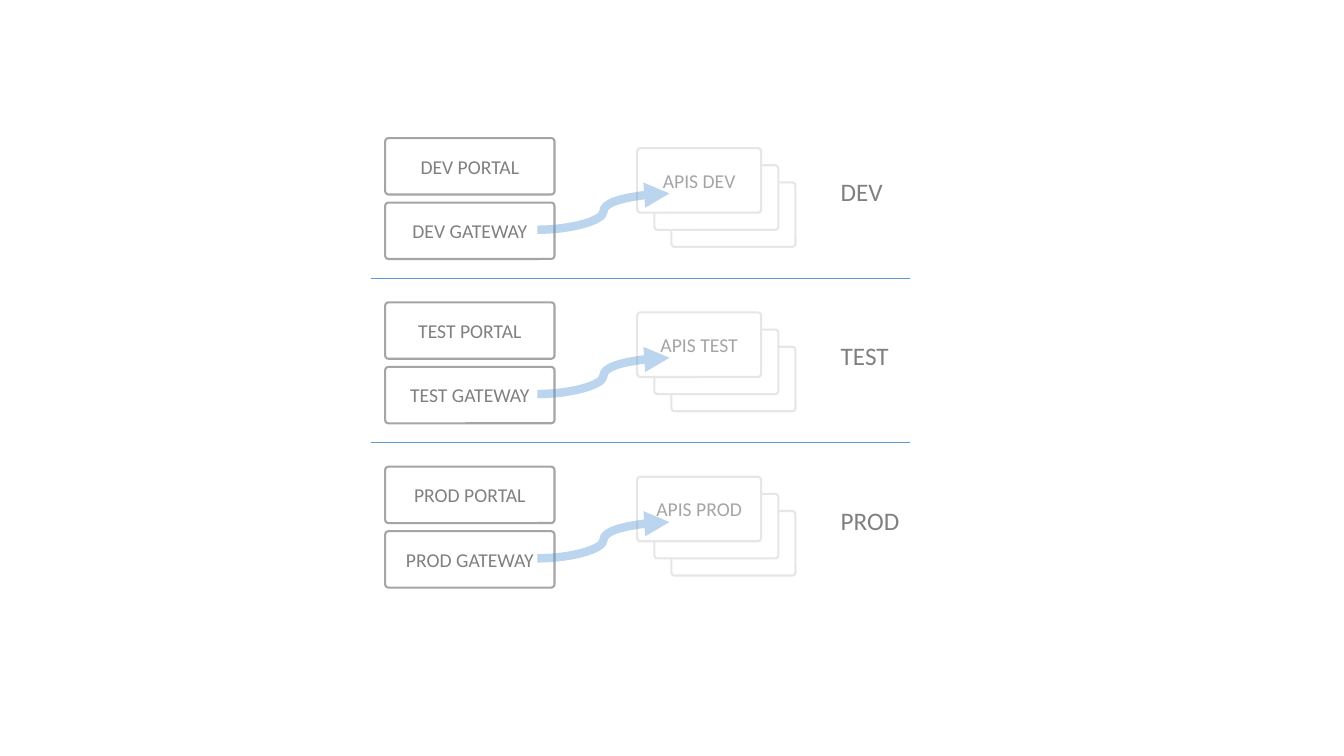
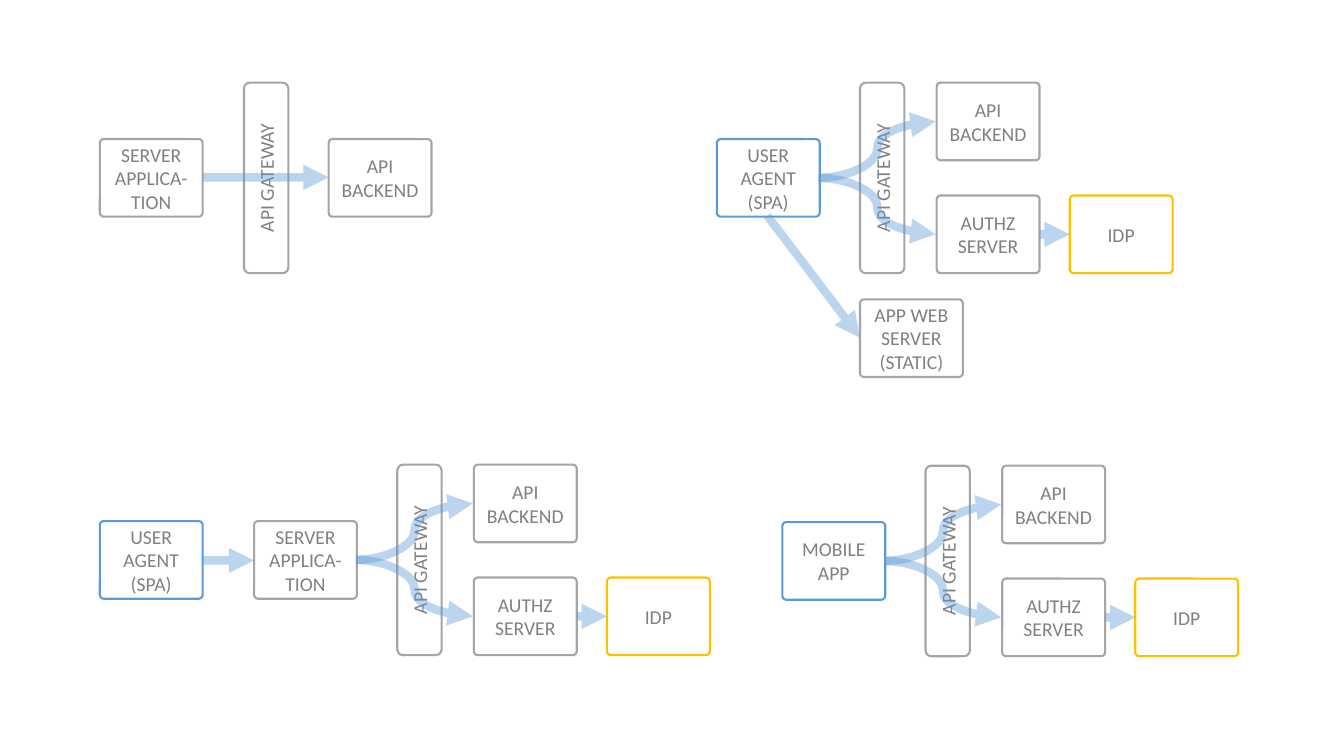
import pptx
import pptx.util
import pptx.dml.color
import pptx.enum.shapes
import pptx.enum.text
import pptx.oxml
import pptx.oxml.ns
from lxml import etree

Inches = pptx.util.Inches
Pt = pptx.util.Pt
SHAPE = pptx.enum.shapes.MSO_SHAPE
LINK = pptx.enum.shapes.MSO_CONNECTOR
ALIGN = pptx.enum.text.PP_ALIGN
ANCHOR = pptx.enum.text.MSO_ANCHOR
qn = pptx.oxml.ns.qn

# Shared style
FONT = "Calibri"
COLORS = {"white": "FFFFFF", "gray": "A5A5A5", "pale": "E7E6E6",
          "text": "808080", "blue": "5B9BD5", "gold": "FFC000"}

# Slide 1 content: one row per stage
STAGES = ["DEV", "TEST", "PROD"]
TOP, PITCH = 1.37, 1.63
STEP = 0.17  # offset between stacked cards

# Slide 2 content: gateway left, top, client text
BOX_W, BOX_H, LANE = 1.02, 0.77, 0.56
SERVER = "SERVER APPLICA-TION"
AGENT = "USER AGENT (SPA)"
BACKEND = "API BACKEND"
FLOWS = [
    {"x": 3.94, "y": 4.61, "client": SERVER, "edge": "gray"},
    {"x": 8.53, "y": 0.82, "client": AGENT, "edge": "blue"},
    {"x": 9.18, "y": 4.62, "client": "MOBILE APP", "edge": "blue"},
]


def color(name):
    return pptx.dml.color.RGBColor.from_string(COLORS[name])


def write(frame, text, size, ink, align):
    frame.word_wrap = True
    frame.text = text
    for par in frame.paragraphs:
        par.alignment = align
        par.font.name = FONT
        par.font.size = Pt(size)
        par.font.color.rgb = color(ink)


def box(slide, x, y, w, h, text="", edge="gray", ink="text", bend=0.05):
    shape = slide.shapes.add_shape(
        SHAPE.ROUNDED_RECTANGLE, Inches(x), Inches(y), Inches(w), Inches(h))
    shape.shadow.inherit = False
    shape.adjustments[0] = bend
    shape.fill.solid()
    shape.fill.fore_color.rgb = color("white")
    shape.line.color.rgb = color(edge)
    shape.line.width = Pt(1.5)
    if text:
        shape.text_frame.vertical_anchor = ANCHOR.MIDDLE
        write(shape.text_frame, text, 14, ink, ALIGN.CENTER)
    return shape


def line(slide, x1, y1, x2, y2, width, kind=LINK.STRAIGHT):
    link = slide.shapes.add_connector(
        kind, Inches(x1), Inches(y1), Inches(x2), Inches(y2))
    link.line.color.rgb = color("blue")
    link.line.width = Pt(width)
    etree.SubElement(link._element.spPr, qn("a:effectLst"))
    return link


def arrow(slide, x1, y1, x2, y2, kind=LINK.STRAIGHT):
    link = line(slide, x1, y1, x2, y2, 6, kind)
    edge = link.line._get_or_add_ln()
    tint = edge.find(qn("a:solidFill"))[0]
    etree.SubElement(tint, qn("a:alpha"), val="41000")
    etree.SubElement(edge, qn("a:tailEnd"), type="triangle")


def node(slide, x, y, text, edge="gray"):
    box(slide, x, y, BOX_W, BOX_H, text, edge)


def gateway(slide, x, y):
    shape = box(slide, x, y, 0.44, 1.89, "API GATEWAY", bend=0.13)
    shape.text_frame._txBody.bodyPr.set("vert", "vert270")


def stage(slide, name, y):
    box(slide, 3.82, y + 0.64, 1.68, 0.56, name + " GATEWAY", bend=0.06)
    box(slide, 3.82, y, 1.68, 0.56, name + " PORTAL", bend=0.06)
    # Stacked cards, front one last
    for depth in (2, 1, 0):
        box(slide, 6.32 + depth * STEP, y + 0.1 + depth * STEP, 1.23, 0.64,
            "" if depth else "APIS " + name, "pale", "gray")
    arrow(slide, 5.33, y + 0.91, 6.64, y + 0.55, LINK.CURVE)
    label = slide.shapes.add_textbox(
        Inches(8.24), Inches(y + 0.33), Inches(1), Inches(0.4))
    write(label.text_frame, name, 18, "text", ALIGN.LEFT)


def flow(slide, x, y, client, edge):
    right, last = x + 0.76, x + 2.08
    mid, low = y + LANE, y + 2 * LANE
    half = BOX_H / 2
    gateway(slide, x, y)
    node(slide, x - 1.42, mid, client, edge)
    node(slide, right, y, BACKEND)
    node(slide, right, low, "AUTHZ\nSERVER")
    node(slide, last, low, "IDP", "gold")
    arrow(slide, right + BOX_W, low + half, last, low + half)
    for end in (low, y):
        arrow(slide, x - 0.41, mid + half, right - 0.01, end + half, LINK.CURVE)


def stages(slide):
    for row, name in enumerate(STAGES):
        stage(slide, name, TOP + row * PITCH)
        # Rule between stages
        if row:
            y = TOP + row * PITCH - 0.24
            line(slide, 3.68, y, 9.03, y, 0.5)


def flows(slide):
    for item in FLOWS:
        flow(slide, **item)
    # Server straight to backend
    gateway(slide, 2.42, 0.82)
    node(slide, 0.99, 1.38, SERVER)
    node(slide, 3.26, 1.38, BACKEND)
    arrow(slide, 2.01, 1.76, 3.26, 1.76)
    # Agent in front of the server
    node(slide, 0.99, 5.17, AGENT, "blue")
    arrow(slide, 2.01, 5.56, 2.52, 5.56)
    # Static web server
    node(slide, 8.53, 2.97, "APP WEB SERVER (STATIC)")
    arrow(slide, 7.61, 2.14, 8.53, 3.35)


def main():
    deck = pptx.Presentation()
    deck.slide_width, deck.slide_height = Inches(13.33), Inches(7.5)
    for draw in (stages, flows):
        draw(deck.slides.add_slide(deck.slide_layouts[6]))
    deck.save("out.pptx")


if __name__ == "__main__":
    main()
